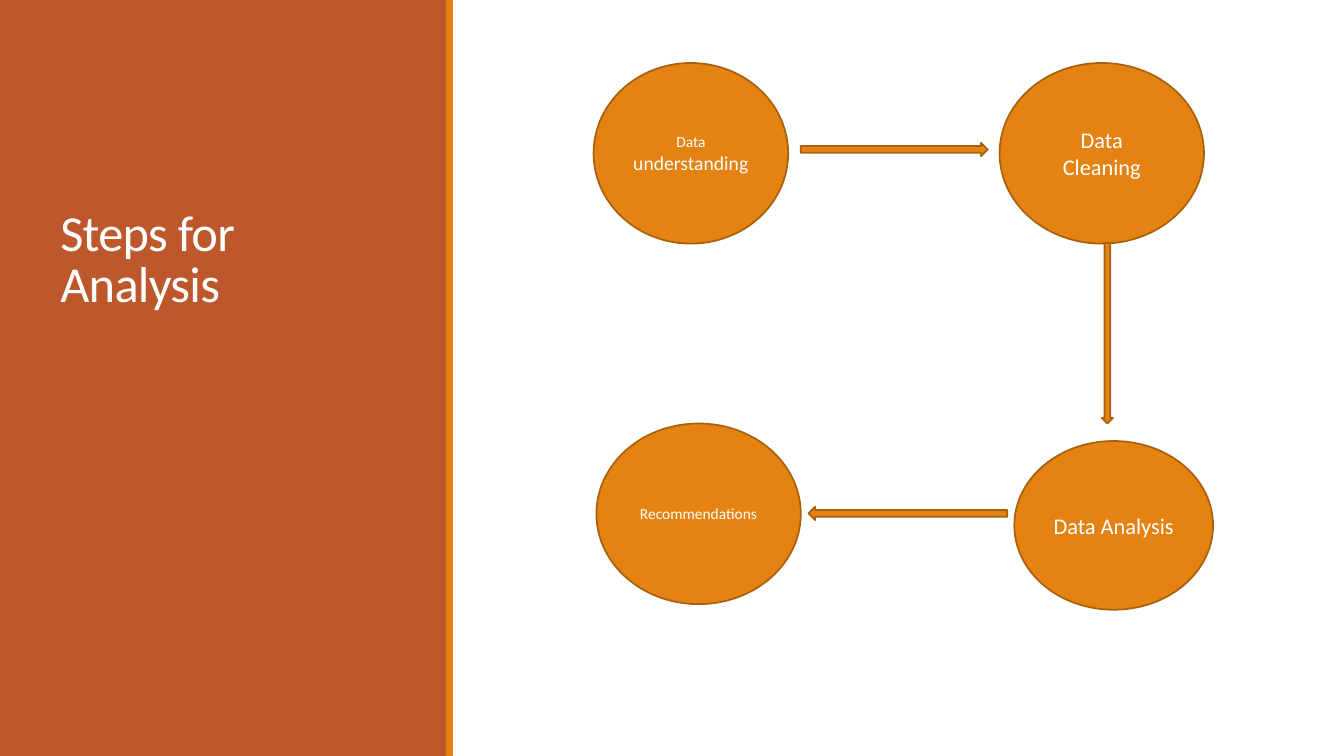
"""Build the Steps for Analysis slide: a title panel beside a four-step flow."""
from pptx import Presentation
from pptx import util as u
from pptx.dml.color import RGBColor
from pptx.enum import shapes, text

COLORS = {"panel": "BD582C", "accent": "E48312", "outline": "A9610D", "white": "FFFFFF"}
WIDTH, HEIGHT, PANEL_W = 960, 540, 319
SHAPE = shapes.MSO_SHAPE
STEPS = [
    ((105, 45, 139, 129), [("Data ", 11), ("understanding", 14)]),
    ((395, 45, 146, 129), [("Data Cleaning", 16)]),
    ((405.5, 315, 142, 120.5), [("Data Analysis", 16)]),
    ((107, 302.5, 146, 129), [("Recommendations", 11)]),
]
ARROWS = [
    (SHAPE.RIGHT_ARROW, (253, 102, 133.5, 9.5)),
    (SHAPE.DOWN_ARROW, (468, 173.5, 8, 129)),
    (SHAPE.LEFT_ARROW, (258.5, 362, 142, 9.5)),
]


def rgb(name):
    return RGBColor.from_string(COLORS[name])


def place(box, left, top, width, height):
    return [u.Pt(v) for v in (box[0] + left, box[1] + top, width, height)]


def add_filled(s, kind, pos, fill, line=None):
    sp = s.shapes.add_shape(kind, *pos)
    sp.shadow.inherit = False
    sp.fill.solid()
    sp.fill.fore_color.rgb = rgb(fill)
    if line:
        sp.line.color.rgb = rgb(line)
        sp.line.width = u.Pt(1.25)
    else:
        sp.line.fill.background()
    return sp


def write(sp, runs, frame, para):
    tf = sp.text_frame
    p = tf.paragraphs[0]
    for target, values in ((tf, frame), (p, para)):
        for key, value in values.items():
            setattr(target, key, value)
    for words, size in runs:
        r = p.add_run()
        r.text = words
        for key, value in {"name": "Calibri", "size": u.Pt(size)}.items():
            setattr(r.font, key, value)
        r.font.color.rgb = rgb("white")
    return p


def add_title_panel(s, box):
    width, height = box[2:]
    add_filled(s, SHAPE.RECTANGLE, place(box, 0, 0, width, height), "panel")
    add_filled(s, SHAPE.RECTANGLE, place(box, width - 0.5, 0, 5, height), "accent")
    sp = s.shapes.add_textbox(*place(box, 36, 47, 252, 180))
    p = write(sp, [("Steps for Analysis", 36)],
              {"word_wrap": True, "vertical_anchor": text.MSO_ANCHOR.BOTTOM},
              {"line_spacing": 0.85})
    for r in p.runs:
        r.font._element.set("spc", "-50")


def add_flow(s, box):
    for pos, runs in STEPS:
        sp = add_filled(s, SHAPE.OVAL, place(box, *pos), "accent", "outline")
        write(sp, runs, {"word_wrap": True, "vertical_anchor": text.MSO_ANCHOR.MIDDLE},
              {"alignment": text.PP_ALIGN.CENTER})
    for kind, pos in ARROWS:
        add_filled(s, kind, place(box, *pos), "accent", "outline")


prs = Presentation()
prs.slide_width, prs.slide_height = u.Pt(WIDTH), u.Pt(HEIGHT)
s = prs.slides.add_slide(prs.slide_layouts[6])
add_title_panel(s, (0, 0, PANEL_W, HEIGHT))
add_flow(s, (PANEL_W, 0, WIDTH - PANEL_W, HEIGHT))
prs.save("out.pptx")
